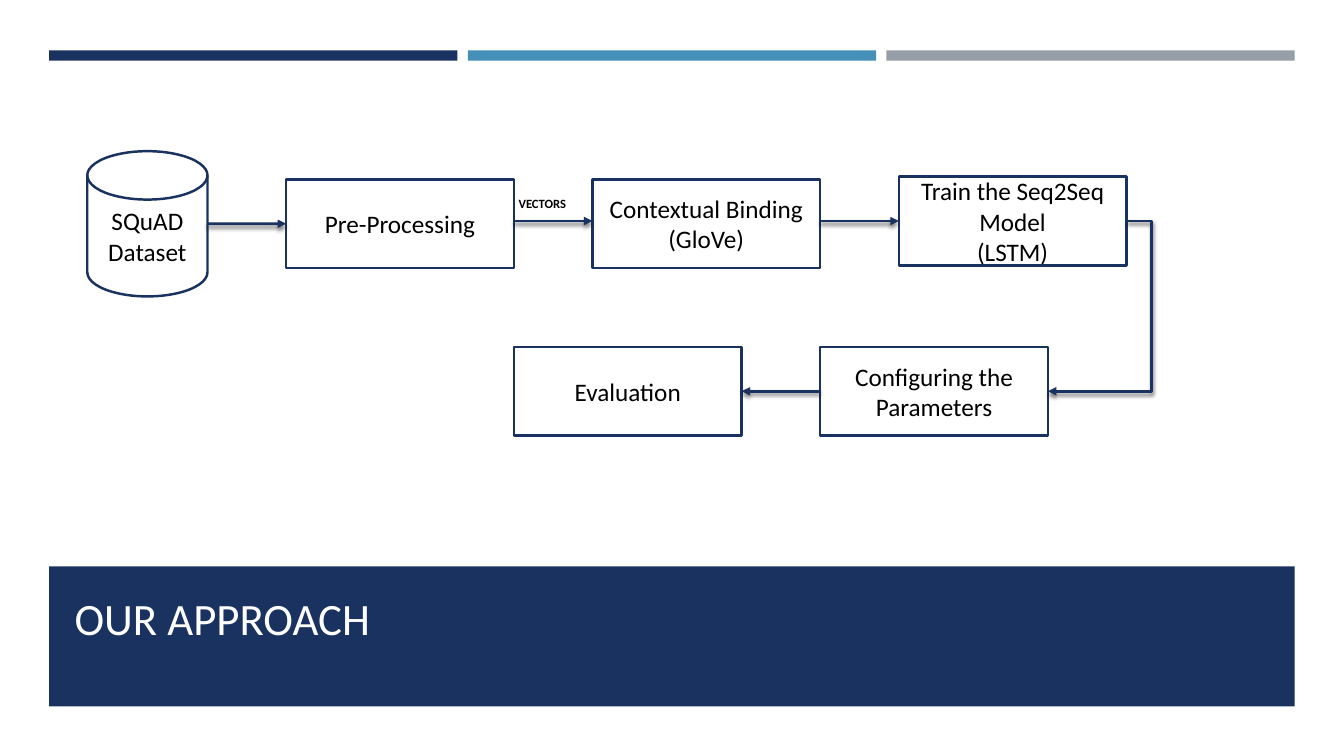
from lxml.etree import SubElement
from pptx import Presentation
from pptx.dml.color import RGBColor
from pptx.enum.shapes import MSO_CONNECTOR, MSO_SHAPE
from pptx.enum.text import MSO_ANCHOR, PP_ALIGN
from pptx.oxml.ns import qn
from pptx.util import Cm, Pt

COLORS = {
    "navy": "1A3260",
    "blue": "4590B8",
    "gray": "969FA7",
    "white": "FFFFFF",
    "black": "000000",
}
FONT = "Calibri"
LEFT, RIGHT, TOP, BOTTOM = 1, 3, 0, 2


def rgb(name):
    return RGBColor.from_string(COLORS[name])


def write(frame, text, size, color="black", align=PP_ALIGN.LEFT, bold=False):
    frame.text = text
    frame.vertical_anchor = MSO_ANCHOR.MIDDLE
    for paragraph in frame.paragraphs:
        paragraph.alignment = align
        for run in paragraph.runs:
            run.font.name = FONT
            run.font.size = Pt(size)
            run.font.bold = bold
            run.font.color.rgb = rgb(color)


def add_filled(slide, kind, x, y, width, height, fill):
    shape = slide.shapes.add_shape(kind, Cm(x), Cm(y), Cm(width), Cm(height))
    shape.shadow.inherit = False
    shape.fill.solid()
    shape.fill.fore_color.rgb = rgb(fill)
    shape.line.fill.background()
    return shape


def add_step(slide, text, x, y, width, height, kind=MSO_SHAPE.FLOWCHART_PROCESS):
    step = add_filled(slide, kind, x, y, width, height, "white")
    step.line.color.rgb = rgb("navy")
    step.line.width = Pt(1.75)
    step.text_frame.word_wrap = True
    write(step.text_frame, text, 18, align=PP_ALIGN.CENTER)
    return step


def add_arrow(slide, start, end, kind=MSO_CONNECTOR.STRAIGHT):
    """Draw an arrow with a soft shadow below it; points are in cm."""
    arrow = slide.shapes.add_connector(kind, *(Cm(v) for v in (*start, *end)))
    arrow.line.color.rgb = rgb("navy")
    arrow.line.width = Pt(2)
    SubElement(arrow.line._get_or_add_ln(), qn("a:tailEnd"), type="triangle")
    effects = SubElement(arrow._element.spPr, qn("a:effectLst"))
    shadow = SubElement(effects, qn("a:outerShdw"), blurRad=str(Pt(3)),
                        dist=str(Pt(2)), dir="5400000", rotWithShape="0")
    shade = SubElement(shadow, qn("a:srgbClr"), val=COLORS["black"])
    SubElement(shade, qn("a:alpha"), val="55000")
    return arrow


def add_label(slide, text, x, y, width, height, size, **style):
    label = slide.shapes.add_textbox(Cm(x), Cm(y), Cm(width), Cm(height))
    label.text_frame.word_wrap = True
    write(label.text_frame, text, size, **style)


def add_top_bars(slide, x, y, width, height):
    gap = 0.26
    bar_width = (width - 2 * gap) / 3
    for i, color in enumerate(("navy", "blue", "gray")):
        add_filled(slide, MSO_SHAPE.RECTANGLE, x + i * (bar_width + gap), y,
                   bar_width, height, color)


def add_title_band(slide, x, y, width, height):
    add_filled(slide, MSO_SHAPE.RECTANGLE, x, y, width, height, "navy")
    add_label(slide, "OUR APPROACH", x + 0.39, y + 0.34, 13.64, 1.9, 32, color="white")


def add_pipeline(slide, x, y):
    """Lay out the two rows of steps; x, y is the top left of the dataset."""
    step_width, step_height, gap = 5.74, 2.24, 1.98
    pitch = step_width + gap
    disk_width, disk_height = 3.03, 3.66
    first_x, first_y = x + disk_width + gap, y + 0.71
    second_x, second_y = first_x + step_width, y + 4.93
    train_x, train_y = first_x + 2 * pitch, first_y - 0.07
    flow_y = train_y + step_height / 2
    second_mid = second_y + step_height / 2
    size = (step_width, step_height)

    add_step(slide, "SQuAD Dataset", x, y, disk_width, disk_height,
             MSO_SHAPE.FLOWCHART_MAGNETIC_DISK)
    preprocessing = add_step(slide, "Pre-Processing", first_x, first_y, *size)
    add_step(slide, "Contextual Binding\n(GloVe)", first_x + pitch, first_y, *size)
    train = add_step(slide, "Train the Seq2Seq Model\n(LSTM)", train_x, train_y, *size)
    configuring = add_step(slide, "Configuring the Parameters",
                           second_x + pitch, second_y, *size)
    evaluation = add_step(slide, "Evaluation", second_x, second_y, *size)

    first_mid = first_y + step_height / 2
    load = add_arrow(slide, (first_x - gap, first_mid), (first_x, first_mid))
    load.end_connect(preprocessing, LEFT)
    add_arrow(slide, (second_x, flow_y), (second_x + gap, flow_y))
    bind = add_arrow(slide, (train_x - gap, flow_y), (train_x, flow_y))
    bind.end_connect(train, LEFT)

    turn = add_arrow(slide, (train_x + step_width, flow_y),
                     (second_x + pitch + step_width, second_mid), MSO_CONNECTOR.ELBOW)
    bend = turn._element.spPr.find(qn("a:prstGeom")).get_or_add_avLst()
    SubElement(bend, qn("a:gd"), name="adj1", fmla="val -31900")

    evaluate = add_arrow(slide, (second_x + pitch, second_mid),
                         (second_x + step_width, second_mid))
    evaluate.begin_connect(configuring, LEFT)
    evaluate.end_connect(evaluation, RIGHT)

    add_label(slide, "VECTORS", second_x - 0.13, first_y + 0.28, 2.21, 0.63, 9, bold=True)


def main():
    deck = Presentation()
    deck.slide_width, deck.slide_height = Cm(33.87), Cm(19.05)
    slide = deck.slides.add_slide(deck.slide_layouts[6])
    add_top_bars(slide, 1.24, 1.27, 31.39, 0.26)
    add_title_band(slide, 1.24, 14.27, 31.39, 3.53)
    add_pipeline(slide, 2.2, 3.81)
    deck.save("out.pptx")


if __name__ == "__main__":
    main()
